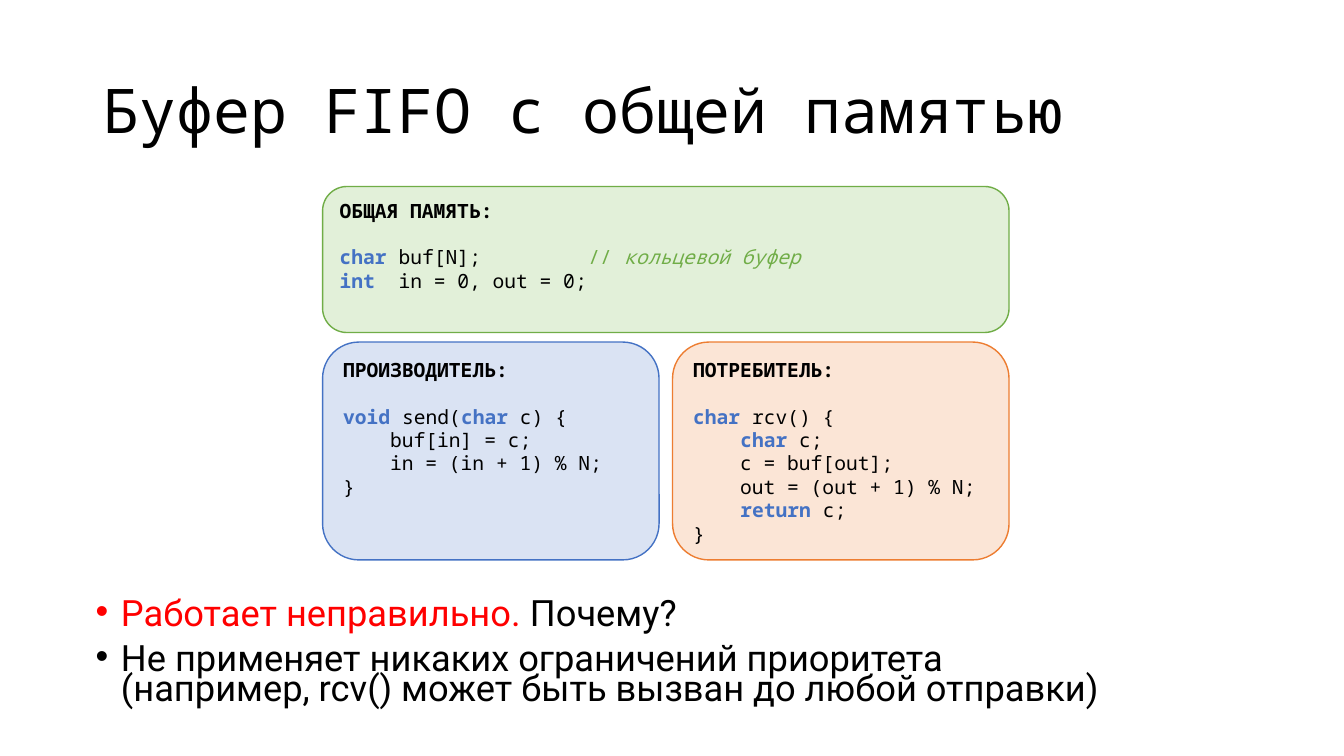
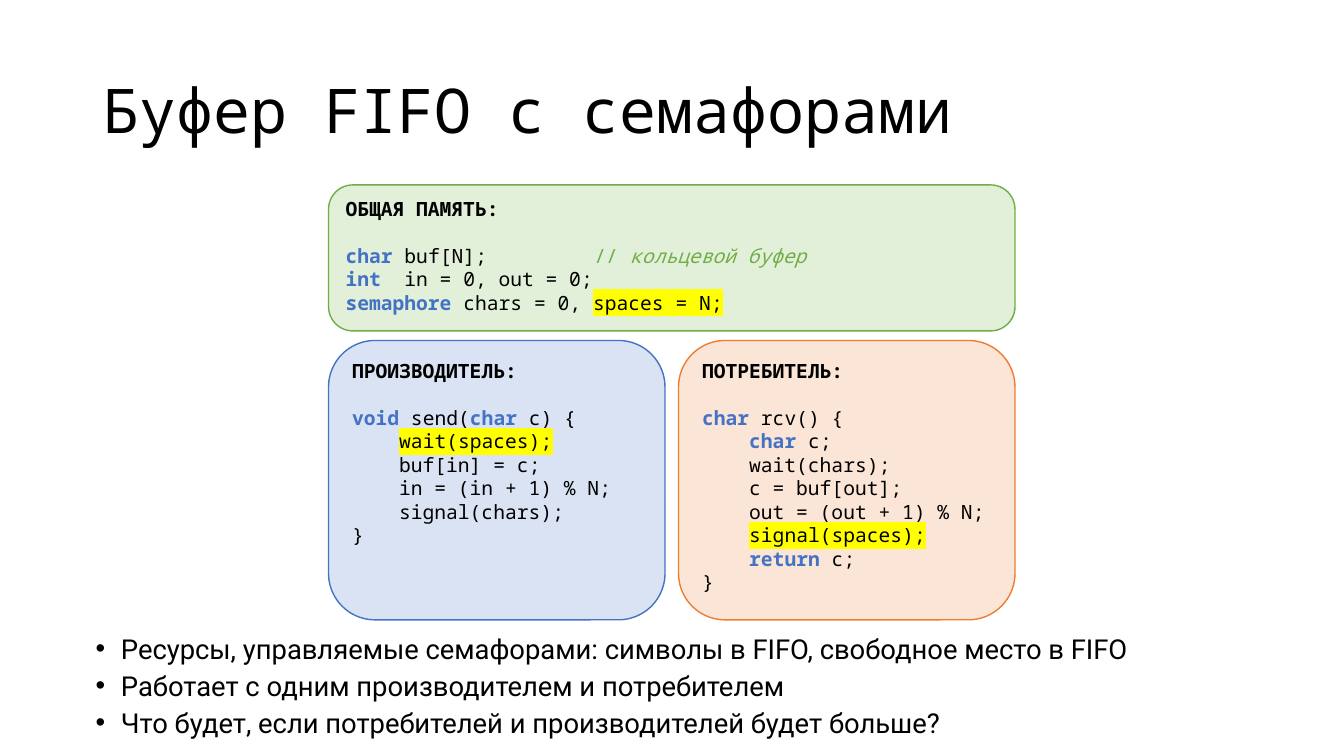
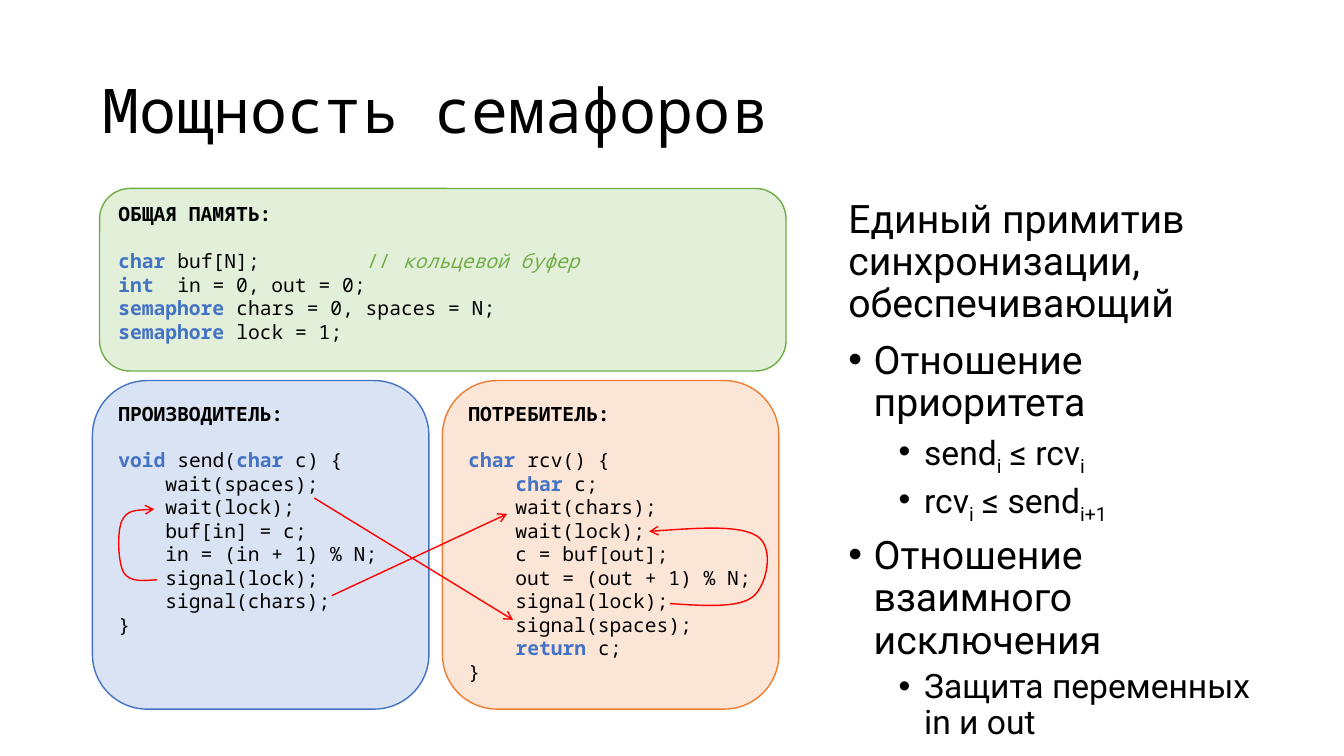
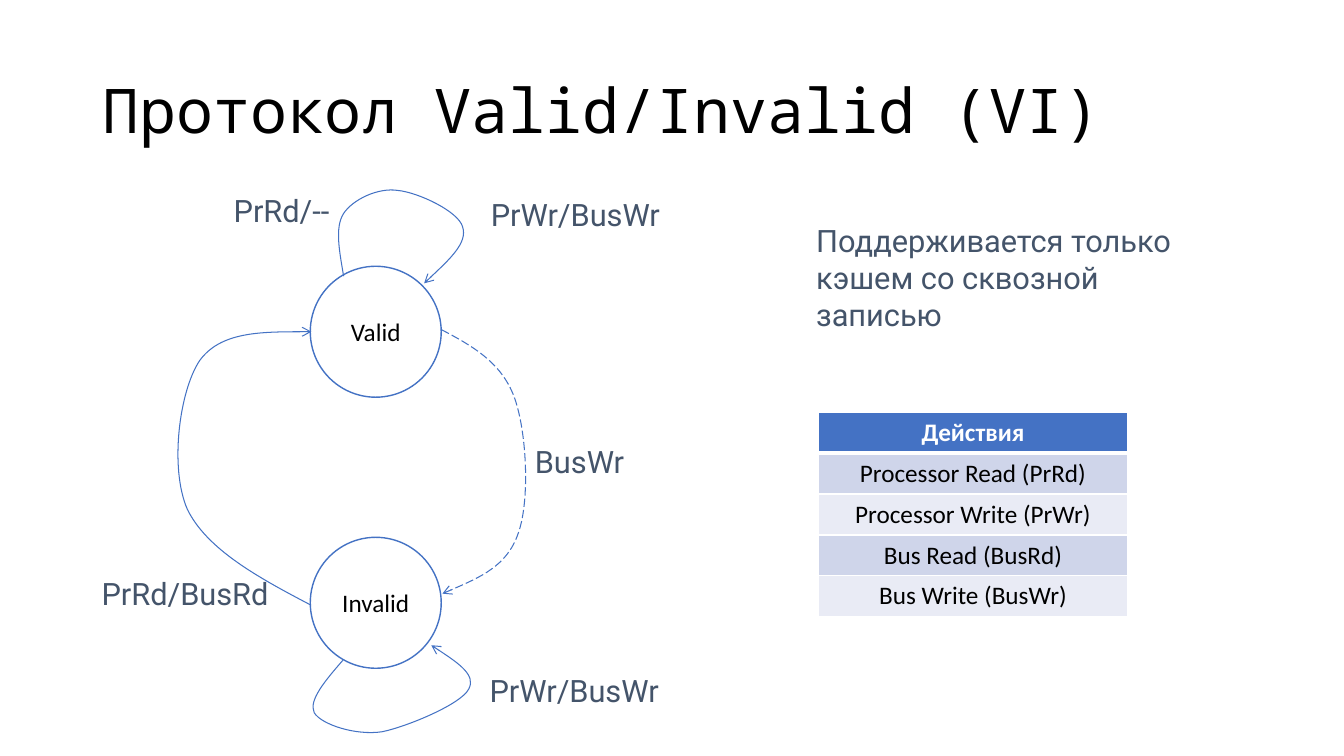
import dataclasses

import lxml.etree
import pptx
import pptx.dml.color
import pptx.enum.dml
import pptx.enum.shapes
import pptx.enum.text
import pptx.oxml.ns
import pptx.util

Cm = pptx.util.Cm
Pt = pptx.util.Pt
qn = pptx.oxml.ns.qn
SHAPES = pptx.enum.shapes.MSO_SHAPE
ALIGN = pptx.enum.text.PP_ALIGN
ANCHOR = pptx.enum.text.MSO_ANCHOR


@dataclasses.dataclass(frozen=True)
class Theme:
    # Colours
    text: str = "000000"
    white: str = "FFFFFF"
    label: str = "44546A"
    red: str = "FF0000"
    yellow: str = "FFFF00"
    blue: str = "4472C4"
    blue_pale: str = "DAE3F3"
    green: str = "70AD47"
    green_pale: str = "E2F0D9"
    orange: str = "ED7D31"
    orange_pale: str = "FBE5D6"
    row_dark: str = "CFD5EA"
    row_light: str = "E9EBF5"
    # Fonts
    mono: str = "Noto Sans Mono"
    body: str = "Roboto"
    plain: str = "Calibri"
    # Type sizes and spacing, in points
    title_size: float = 44
    code_size: float = 14
    code_pitch: float = 16.75
    label_size: float = 22
    plain_size: float = 18


THEME = Theme()

# Inline marks that switch a run format on and off
MARKS = {
    "*": {"bold": True, "color": THEME.blue},
    "`": {"highlight": THEME.yellow},
    "~": {"color": THEME.green},
    "^": {"color": THEME.green, "italic": True},
    "!": {"color": THEME.red},
    "_": {"baseline": -25000},
}

# Code that the slides share
DECLARATIONS = ["*char* buf[N];\t~// ~^кольцевой буфер^", "*int*  in = 0, out = 0;"]
PUT = ["buf[in] = c;", "in = (in + 1) % N;"]
GET = ["c = buf[out];", "out = (out + 1) % N;"]


def rgb(value):
    return pptx.dml.color.RGBColor.from_string(value)


# ---------- Text ----------

def split_marks(text):
    """Yield (piece, format) pairs of a marked-up text."""
    active, piece = None, ""
    for char in text:
        if char in MARKS and active in (None, char):
            if piece:
                yield piece, MARKS.get(active, {})
            active, piece = (None if active else char), ""
        else:
            piece += char
    if piece:
        yield piece, MARKS.get(active, {})


def add_run(paragraph, text, *, size, font, color, bold=False, italic=False,
            highlight=None, baseline=None):
    run = paragraph.add_run()
    run.text = text
    run.font.size = Pt(size)
    run.font.name = font
    run.font.bold = bold
    run.font.italic = italic
    run.font.color.rgb = rgb(color)
    properties = run.font._element
    if highlight:
        marker = lxml.etree.Element(qn("a:highlight"))
        lxml.etree.SubElement(marker, qn("a:srgbClr"), val=highlight)
        properties.find(qn("a:solidFill")).addnext(marker)
    if baseline:
        properties.set("baseline", str(baseline))


def write(frame, text, *, size, font, color=THEME.text, bold=False, align=ALIGN.LEFT,
          spacing=None, before=0, bullet_level=None, tab=None):
    """Write one paragraph; a newline in the text is a line break."""
    paragraph = frame.paragraphs[0]
    if paragraph.runs:
        paragraph = frame.add_paragraph()
        paragraph.space_before = Pt(before)
    properties = paragraph._p.get_or_add_pPr()
    if bullet_level is not None:
        properties.set("marL", str(Cm(0.64 + 1.27 * bullet_level)))
        properties.set("indent", str(Cm(-0.64)))
        properties.set("lvl", str(bullet_level))
        lxml.etree.SubElement(properties, qn("a:buFont"), typeface="Arial")
        lxml.etree.SubElement(properties, qn("a:buChar"), char="•")
    if tab:
        stops = lxml.etree.SubElement(properties, qn("a:tabLst"))
        lxml.etree.SubElement(stops, qn("a:tab"), pos=str(Cm(tab)), algn="l")
    paragraph.alignment = align
    if spacing:
        paragraph.line_spacing = spacing
    base = {"size": size, "font": font, "color": color, "bold": bold}
    for number, line in enumerate(text.split("\n")):
        if number:
            paragraph.add_line_break()
        for piece, extra in split_marks(line):
            add_run(paragraph, piece, **{**base, **extra})


def add_text_box(slide, left, top, width, height, anchor=ANCHOR.TOP):
    frame = slide.shapes.add_textbox(Cm(left), Cm(top), Cm(width), Cm(height)).text_frame
    frame.word_wrap = True
    frame.vertical_anchor = anchor
    return frame


def add_label(slide, text, left, top, width, height=1.19):
    write(add_text_box(slide, left, top, width, height), text,
          size=THEME.label_size, font=THEME.body, color=THEME.label)


def add_bullets(slide, top, height, size, lines):
    frame = add_text_box(slide, 2.16, top, 29.36, height)
    for line in lines:
        write(frame, line, size=size, font=THEME.body, spacing=0.7, before=10, bullet_level=0)


# ---------- Shapes and lines ----------

def add_panel(slide, kind, left, top, width, height, fill, line):
    panel = slide.shapes.add_shape(kind, Cm(left), Cm(top), Cm(width), Cm(height))
    panel.shadow.inherit = False
    panel.fill.solid()
    panel.fill.fore_color.rgb = rgb(fill)
    panel.line.color.rgb = rgb(line)
    panel.line.width = Pt(1)
    panel.text_frame.word_wrap = True
    return panel.text_frame


def add_code(slide, heading, lines, left, top, width, height, fill, line):
    frame = add_panel(slide, SHAPES.ROUNDED_RECTANGLE, left, top, width, height, fill, line)
    frame.vertical_anchor = ANCHOR.TOP
    frame.margin_right = 0
    style = {"size": THEME.code_size, "font": THEME.mono, "spacing": Pt(THEME.code_pitch)}
    write(frame, heading, bold=True, **style)
    for number, code in enumerate(lines):
        write(frame, code, before=0 if number else THEME.code_pitch,
              tab=6.27 if "\t" in code else None, **style)


def add_program(slide, left, top, shared_height, code_height, shared, send, receive,
                pair_shift=0):
    """Shared memory on top, producer and consumer side by side below."""
    width, column, gap = 17.3, 8.48, 0.24
    add_code(slide, "ОБЩАЯ ПАМЯТЬ:", DECLARATIONS + shared, left, top, width, shared_height,
             THEME.green_pale, THEME.green)
    pair_left, pair_top = left + pair_shift, top + shared_height + gap
    send_code = ["*void* send(*char* c) {", *indent(send), "}"]
    receive_code = ["*char* rcv() {", *indent(["*char* c;", *receive, "*return* c;"]), "}"]
    add_code(slide, "ПРОИЗВОДИТЕЛЬ:", send_code, pair_left, pair_top, column, code_height,
             THEME.blue_pale, THEME.blue)
    add_code(slide, "ПОТРЕБИТЕЛЬ:", receive_code, pair_left + width - column, pair_top,
             column, code_height, THEME.orange_pale, THEME.orange)


def indent(lines):
    return ["    " + line for line in lines]


def style_arrow(arrow, color, width, dash=None):
    arrow.line.color.rgb = rgb(color)
    arrow.line.width = Pt(width)
    if dash:
        arrow.line.dash_style = dash
    outline = arrow._element.spPr.find(qn("a:ln"))
    lxml.etree.SubElement(outline, qn("a:tailEnd"), type="arrow")


def add_arrow(slide, start, end, color):
    arrow = slide.shapes.add_connector(pptx.enum.shapes.MSO_CONNECTOR.STRAIGHT,
                                       *map(Cm, start), *map(Cm, end))
    style_arrow(arrow, color, 1)
    lxml.etree.SubElement(arrow._element.spPr, qn("a:effectLst"))


def add_curve(slide, points, color, width, dash=None):
    """Curved arrow: a start point, then three Bezier points per segment."""
    start, *rest = [(Cm(x), Cm(y)) for x, y in points]
    builder = slide.shapes.build_freeform(*start, scale=1.0)
    builder.add_line_segments(rest, close=False)
    curve = builder.convert_to_shape()
    # Join every three straight steps into one cubic segment
    steps = list(curve._element.iter(qn("a:lnTo")))
    for first in range(0, len(steps), 3):
        cubic = lxml.etree.Element(qn("a:cubicBezTo"))
        steps[first].addprevious(cubic)
        for step in steps[first:first + 3]:
            cubic.append(step[0])
            step.getparent().remove(step)
    curve.shadow.inherit = False
    curve.fill.background()
    style_arrow(curve, color, width, dash)


# ---------- Table ----------

def add_border(cell, position, side, width):
    border = lxml.etree.Element(qn("a:" + side), w=str(Pt(width)))
    fill = lxml.etree.SubElement(border, qn("a:solidFill"))
    lxml.etree.SubElement(fill, qn("a:srgbClr"), val=THEME.white)
    cell._tc.get_or_add_tcPr().insert(position, border)


def add_actions(slide, rows, left, top, width, row_height):
    actions = slide.shapes.add_table(len(rows), 1, Cm(left), Cm(top), Cm(width),
                                     Cm(row_height * len(rows))).table
    for number, text in enumerate(rows):
        header = number == 0
        cell = actions.cell(number, 0)
        cell.vertical_anchor = ANCHOR.MIDDLE
        cell.fill.solid()
        banded = THEME.row_dark if number % 2 else THEME.row_light
        cell.fill.fore_color.rgb = rgb(THEME.blue if header else banded)
        write(cell.text_frame, text, size=THEME.plain_size, font=THEME.plain, bold=header,
              color=THEME.white if header else THEME.text, align=ALIGN.CENTER)
        widths = {"lnL": 1, "lnR": 1, "lnT": 3 if number == 1 else 1, "lnB": 3 if header else 1}
        for position, (side, line_width) in enumerate(widths.items()):
            add_border(cell, position, side, line_width)


# ---------- Slides ----------

def add_slide(deck, title):
    slide = deck.slides.add_slide(deck.slide_layouts[6])
    frame = add_text_box(slide, 2.33, 1.01, 29.21, 3.68, ANCHOR.MIDDLE)
    write(frame, title, size=THEME.title_size, font=THEME.mono, spacing=0.9)
    return slide


def build_shared_memory(deck):
    slide = add_slide(deck, "Буфер FIFO с общей памятью")
    add_bullets(slide, 15.06, 3.05, 25.9, [
        "!Работает неправильно.! Почему?",
        "Не применяет никаких ограничений приоритета\n"
        "(например, rcv() может быть вызван до любой отправки)",
    ])
    add_program(slide, 8.13, 4.7, 3.68, 5.49, [], PUT, GET)


def build_semaphores(deck):
    slide = add_slide(deck, "Буфер FIFO с семафорами")
    add_bullets(slide, 16.04, 2.77, 19.6, [
        "Ресурсы, управляемые семафорами: символы в FIFO, свободное место в FIFO",
        "Работает с одним производителем и потребителем",
        "Что будет, если потребителей и производителей будет больше?",
    ])
    add_program(slide, 8.28, 4.66, 3.68, 7.04,
                ["*semaphore* chars = 0, `spaces = N;`"],
                ["`wait(spaces);`", *PUT, "signal(chars);"],
                ["wait(chars);", *GET, "`signal(spaces);`"])


def build_semaphore_power(deck):
    slide = add_slide(deck, "Мощность семафоров")
    add_program(slide, 2.51, 4.75, 4.6, 8.28,
                ["*semaphore* chars = 0, spaces = N;", "*semaphore* lock = 1;"],
                ["wait(spaces);", "wait(lock);", *PUT, "signal(lock);", "signal(chars);"],
                ["wait(chars);", "wait(lock);", *GET, "signal(lock);", "signal(spaces);"],
                pair_shift=-0.18)

    # Precedence between the two processes
    add_arrow(slide, (7.92, 12.55), (12.93, 15.62), THEME.red)
    add_arrow(slide, (8.36, 15.01), (12.78, 12.95), THEME.red)

    # Mutual exclusion inside each process
    for points in (
        [(3.96, 14.61), (3.61, 14.63), (3.28, 14.68), (3.12, 14.43), (2.97, 14.17),
         (2.95, 13.39), (3.07, 13.13), (3.2, 12.85), (3.56, 12.85), (3.89, 12.83)],
        [(16.89, 15.21), (17.75, 15.27), (18.62, 15.32), (18.97, 15.04), (19.33, 14.76),
         (19.53, 13.79), (19.08, 13.51), (18.64, 13.23), (17.5, 13.31), (16.36, 13.39)],
    ):
        add_curve(slide, points, THEME.red, 1)

    # Explanation
    frame = add_text_box(slide, 21.13, 4.9, 11.13, 12.57)
    for level, text in (
        (None, "Единый примитив синхронизации, обеспечивающий"),
        (0, "Отношение приоритета"),
        (1, "send_i_ ≤ rcv_i_"),
        (1, "rcv_i_ ≤ send_i+1_"),
        (0, "Отношение взаимного исключения"),
        (1, "Защита переменных in и out"),
    ):
        write(frame, text, size=24 if level else 28, font=THEME.body, spacing=0.9,
              before=5 if level else 10, bullet_level=level)


def build_protocol(deck):
    slide = add_slide(deck, "Протокол Valid/Invalid (VI)")

    # States
    for state, top in (("Invalid", 13.54), ("Valid", 6.71)):
        frame = add_panel(slide, SHAPES.OVAL, 7.82, top, 3.3, 3.3, THEME.white, THEME.blue)
        frame.vertical_anchor = ANCHOR.MIDDLE
        write(frame, state, size=THEME.plain_size, font=THEME.plain, align=ALIGN.CENTER)

    # Transitions
    long_dash = pptx.enum.dml.MSO_LINE.LONG_DASH
    for dash, points in (
        (None, [(7.82, 15.24), (6.5, 14.55), (5.21, 13.84), (4.72, 12.83), (4.27, 11.79),
                (4.52, 9.86), (5.03, 9.09), (5.56, 8.36), (6.71, 8.36), (7.85, 8.36)]),
        (long_dash, [(11.13, 8.31), (11.89, 8.71), (12.62, 9.12), (12.95, 9.98),
                     (13.28, 10.85), (13.36, 12.62), (13.06, 13.44), (12.78, 14.27),
                     (11.96, 14.61), (11.15, 14.96)]),
        (None, [(8.66, 6.96), (8.56, 6.35), (8.43, 5.74), (8.66, 5.38), (8.89, 5.03),
                (9.53, 4.72), (10.03, 4.8), (10.54, 4.85), (11.56, 5.33), (11.66, 5.72),
                (11.79, 6.12), (11.23, 6.63), (10.69, 7.14)]),
        (None, [(8.64, 16.64), (8.2, 17.15), (7.77, 17.65), (7.92, 17.96), (8.1, 18.26),
                (8.97, 18.54), (9.63, 18.44), (10.26, 18.31), (11.61, 17.75),
                (11.81, 17.37), (12.01, 17.02), (11.46, 16.64), (10.87, 16.26)]),
    ):
        add_curve(slide, points, THEME.blue, 0.75, dash)

    # Transition labels
    for text, left, top, width in (
        ("PrRd/--", 5.64, 4.7, 3.3),
        ("PrWr/BusWr", 12.12, 4.8, 5.46),
        ("BusWr", 13.23, 11.02, 2.9),
        ("PrRd/BusRd", 2.31, 14.35, 5.46),
        ("PrWr/BusWr", 12.09, 16.81, 5.46),
    ):
        add_label(slide, text, left, top, width)

    # Actions and remark
    add_actions(slide, ["Действия", "Processor Read (PrRd)", "Processor Write (PrWr)",
                        "Bus Read (BusRd)", "Bus Write (BusWr)"], 20.62, 10.39, 7.8, 1.03)
    add_label(slide, "Поддерживается только кэшем со сквозной записью",
              20.32, 5.46, 10.11, 2.13)


def main():
    deck = pptx.Presentation()
    deck.slide_width = Cm(33.87)
    deck.slide_height = Cm(19.05)
    build_shared_memory(deck)
    build_semaphores(deck)
    build_semaphore_power(deck)
    build_protocol(deck)
    deck.save("out.pptx")


if __name__ == "__main__":
    main()
